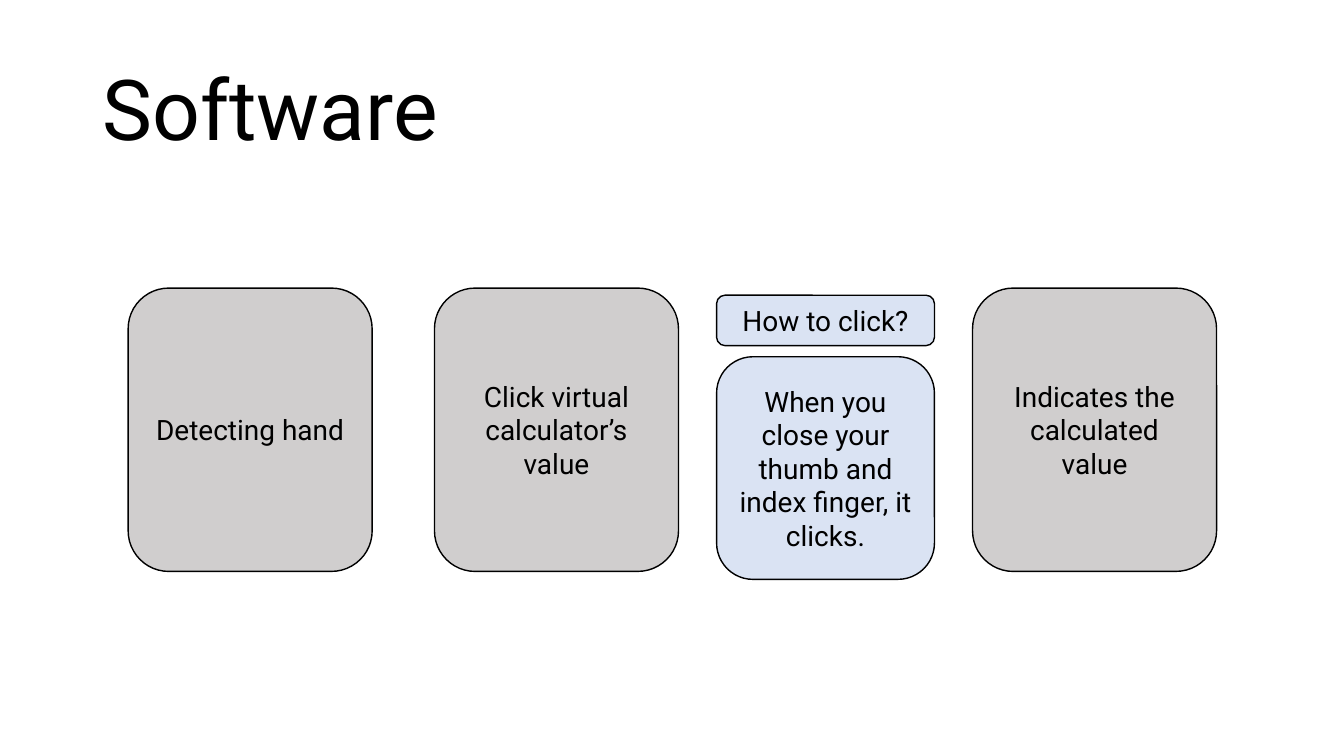
from pptx import Presentation
from pptx.dml.color import RGBColor
from pptx.enum.shapes import MSO_SHAPE
from pptx.enum.text import MSO_ANCHOR, MSO_AUTO_SIZE, PP_ALIGN
from pptx.util import Cm, Pt

BLACK = RGBColor(0x00, 0x00, 0x00)
GREY = RGBColor(0xD0, 0xCE, 0xCE)
LIGHT_BLUE = RGBColor(0xDA, 0xE3, 0xF3)
FONT_NAME = "Roboto"

TITLE = "Software"
STEPS = [
    (3.23, "Detecting hand"),
    (10.95, "Click virtual calculator’s value"),
    (24.51, "Indicates the calculated value"),
]
STEP_TOP, STEP_WIDTH, STEP_HEIGHT = 7.26, 6.15, 7.14

CLICK_NOTES = [
    (1.27, "How to click?"),
    (5.61, "When you close your thumb and index finger, it clicks."),
]
NOTE_LEFT, NOTE_TOP, NOTE_WIDTH, NOTE_GAP = 18.06, 7.44, 5.49, 0.28


def add_text(paragraph, text, size):
    run = paragraph.add_run()
    run.text = text
    run.font.name = FONT_NAME
    run.font.size = Pt(size)
    run.font.color.rgb = BLACK


def add_title(slide):
    title = slide.shapes.title
    title.left, title.top = Cm(2.33), Cm(1.01)
    title.width, title.height = Cm(29.21), Cm(3.68)
    frame = title.text_frame
    frame.word_wrap = True
    frame.auto_size = MSO_AUTO_SIZE.NONE
    frame.vertical_anchor = MSO_ANCHOR.MIDDLE
    paragraph = frame.paragraphs[0]
    paragraph.alignment = PP_ALIGN.LEFT
    paragraph.line_spacing = 0.9
    add_text(paragraph, TITLE, 60)


def add_box(slide, left, top, width, height, color, text):
    shape = slide.shapes.add_shape(
        MSO_SHAPE.ROUNDED_RECTANGLE, Cm(left), Cm(top), Cm(width), Cm(height)
    )
    shape.shadow.inherit = False
    shape.fill.solid()
    shape.fill.fore_color.rgb = color
    shape.line.color.rgb = BLACK
    shape.line.width = Pt(1)
    frame = shape.text_frame
    frame.word_wrap = True
    frame.vertical_anchor = MSO_ANCHOR.MIDDLE
    paragraph = frame.paragraphs[0]
    paragraph.alignment = PP_ALIGN.CENTER
    add_text(paragraph, text, 20)


def main():
    presentation = Presentation()
    presentation.slide_width = Cm(33.87)
    presentation.slide_height = Cm(19.05)
    slide = presentation.slides.add_slide(presentation.slide_layouts[5])
    add_title(slide)

    for left, text in STEPS:
        add_box(slide, left, STEP_TOP, STEP_WIDTH, STEP_HEIGHT, GREY, text)

    top = NOTE_TOP
    for height, text in CLICK_NOTES:
        add_box(slide, NOTE_LEFT, top, NOTE_WIDTH, height, LIGHT_BLUE, text)
        top += height + NOTE_GAP

    presentation.save("out.pptx")


if __name__ == "__main__":
    main()
